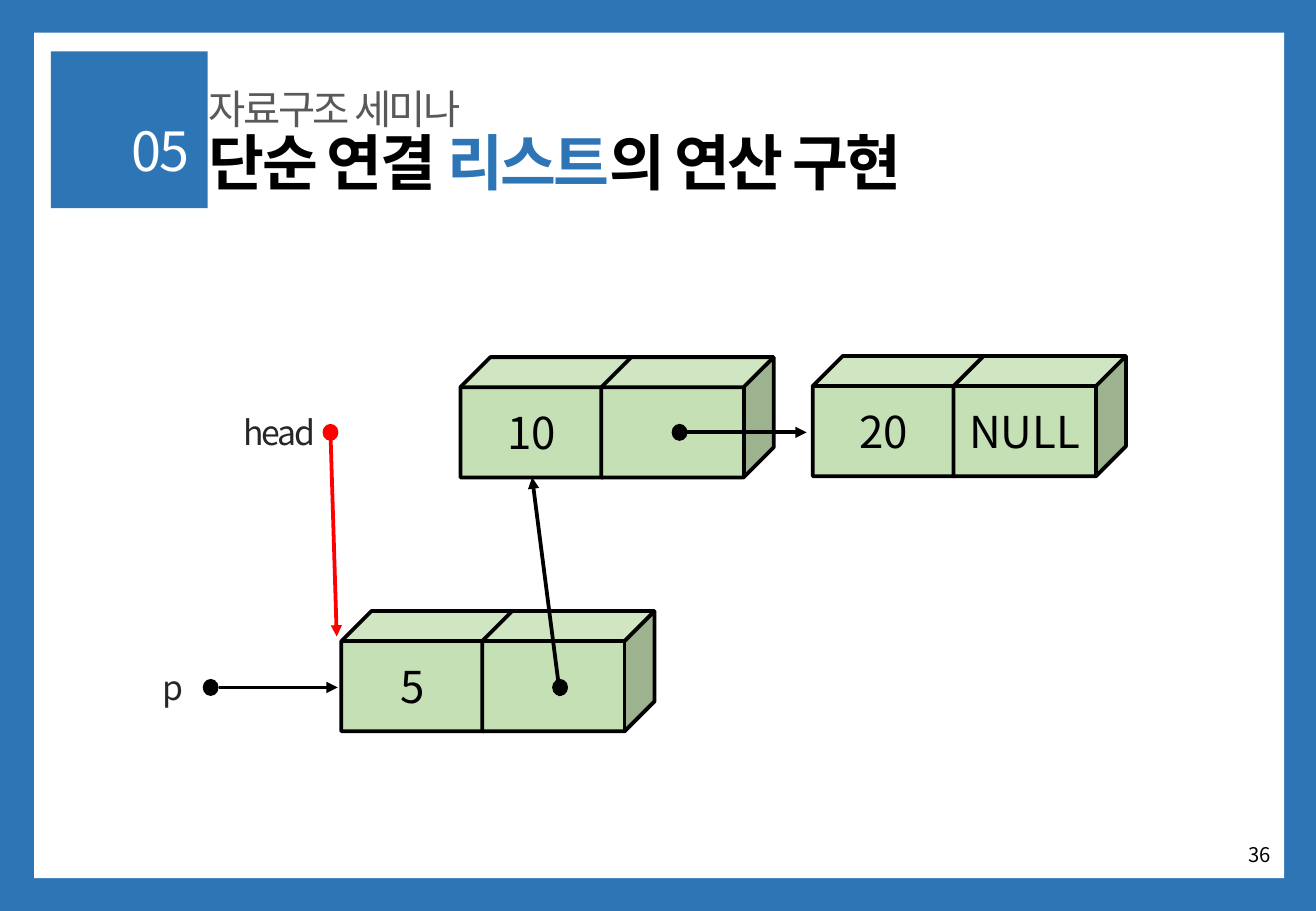
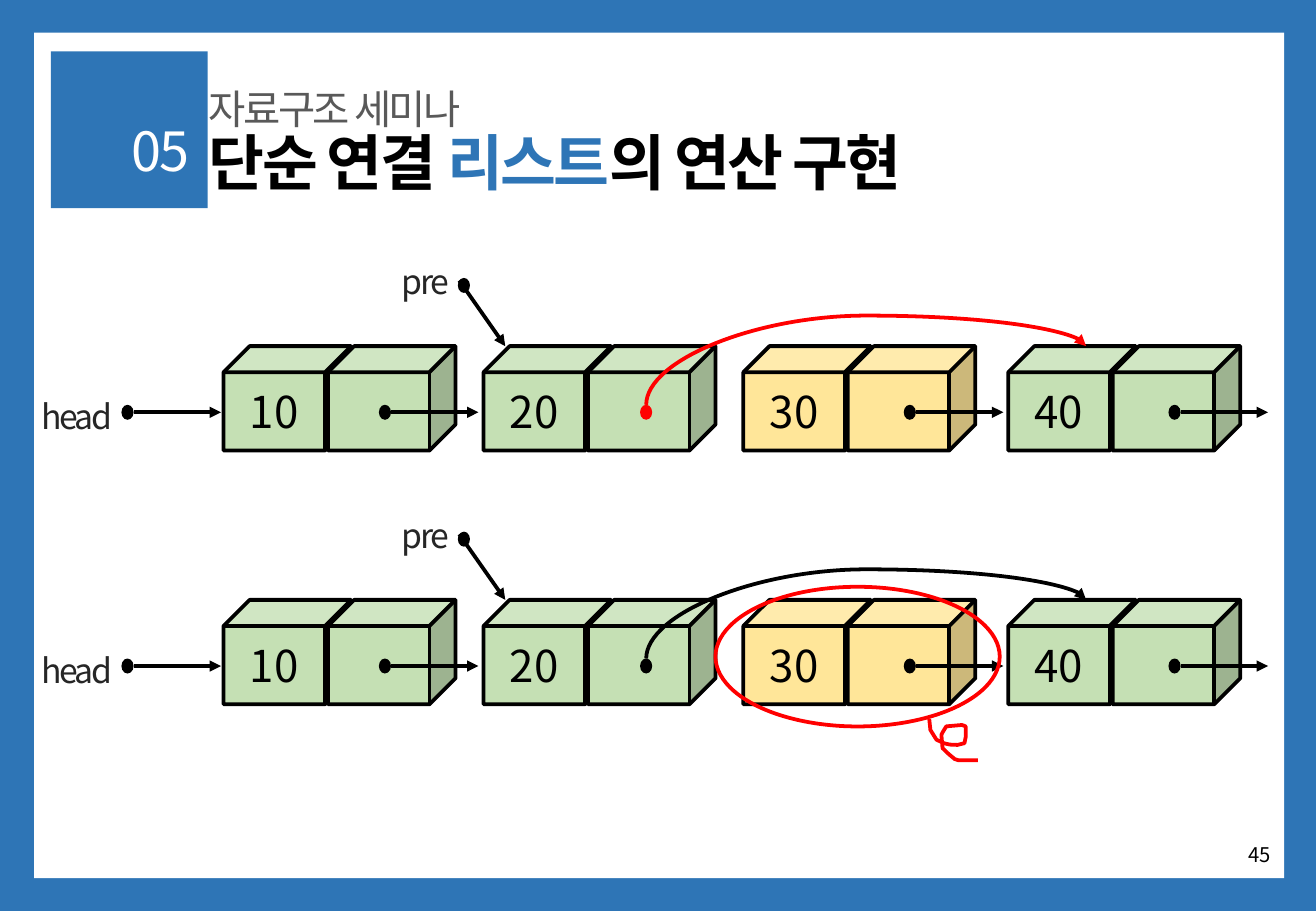
from lxml.etree import SubElement
from pptx import Presentation
from pptx.dml.color import RGBColor
from pptx.enum.shapes import MSO_CONNECTOR as CONN, MSO_SHAPE as SHAPE
from pptx.enum.text import MSO_ANCHOR as ANCHOR, MSO_AUTO_SIZE as AUTO, PP_ALIGN as ALIGN
from pptx.oxml.ns import qn
from pptx.util import Pt

FONT = "Noto Sans CJK KR"
BLUE, WHITE, BLACK, RED = "2E75B6", "FFFFFF", "000000", "FF0000"
GREEN, YELLOW, GREY, DARK = "C5E0B4", "FFE699", "595959", "262626"
LINE_W = 2.25


def rgb(color):
    return RGBColor.from_string(color)


# Text
def add_run(p, text, size, color, bold=False, spacing=0):
    r = p.add_run()
    r.text = text
    r.font.size, r.font.bold = Pt(size), bold
    r.font.color.rgb = rgb(color)
    r.font.name = FONT
    rPr = r.font._element
    SubElement(rPr, qn("a:ea")).set("typeface", FONT)
    if spacing:
        rPr.set("spc", str(int(spacing * 100)))


def place(sp, x, y, w, h):
    sp.left, sp.top, sp.width, sp.height = Pt(x), Pt(y), Pt(w), Pt(h)


def fill_placeholder(sp, box, runs, size, align=ALIGN.LEFT, bold=False):
    place(sp, *box)
    tf = sp.text_frame
    tf.word_wrap, tf.auto_size = True, AUTO.NONE
    tf.vertical_anchor = ANCHOR.MIDDLE
    p = tf.paragraphs[0]
    pPr = p._p.get_or_add_pPr()
    pPr.set("marL", "0")
    pPr.set("indent", "0")
    SubElement(pPr, qn("a:buNone"))
    p.alignment, p.line_spacing, p.space_before = align, 0.9, Pt(0)
    for text, color in runs:
        add_run(p, text, size, color, bold, -1.5)


def add_text(s, box, text, size, color, align=ALIGN.LEFT, anchor=ANCHOR.TOP, spacing=0):
    tf = s.shapes.add_textbox(*map(Pt, box)).text_frame
    tf.word_wrap, tf.vertical_anchor = True, anchor
    p = tf.paragraphs[0]
    p.alignment = align
    add_run(p, text, size, color, spacing=spacing)


def label(s, x, y, w, text):
    add_text(s, (x, y, w, 31.7), text, 20, DARK, spacing=-1.5)


# Shapes and lines
def style(sp, fill=None, line=None):
    sp.shadow.inherit = False
    if fill:
        sp.fill.solid()
        sp.fill.fore_color.rgb = rgb(fill)
    else:
        sp.fill.background()
    if line:
        sp.line.color.rgb = rgb(line)
        sp.line.width = Pt(LINE_W)
    else:
        sp.line.fill.background()
    return sp


def add_shape(s, kind, x, y, w, h, fill=None, line=None):
    return style(s.shapes.add_shape(kind, Pt(x), Pt(y), Pt(w), Pt(h)), fill, line)


def dot(s, cx, cy, size, color=BLACK):
    w, h = size
    add_shape(s, SHAPE.FLOWCHART_CONNECTOR, cx - w / 2, cy - h / 2, w, h, color)


def arrow(s, start, end, color=BLACK, kind=CONN.STRAIGHT):
    c = s.shapes.add_connector(kind, *map(Pt, start + end))
    c.line.color.rgb = rgb(color)
    c.line.width = Pt(LINE_W)
    SubElement(c.line._ln, qn("a:tailEnd")).set("type", "triangle")
    SubElement(c._element.spPr, qn("a:effectLst"))
    return c


def arc_arrow(s, start, end, color, bend):
    """Curve leaving upwards: a connector turned a quarter about its centre."""
    (x1, y1), (x2, y2) = start, end
    cx, cy = (x1 + x2) / 2, (y1 + y2) / 2
    half_w, half_h = (y1 - y2) / 2, (x2 - x1) / 2
    c = arrow(s, (cx + half_w, cy + half_h), (cx - half_w, cy - half_h), color, CONN.CURVE)
    spPr = c._element.spPr
    spPr.find(qn("a:xfrm")).set("rot", "5400000")
    geom = spPr.find(qn("a:prstGeom"))
    av = geom.find(qn("a:avLst"))
    if av is None:
        av = SubElement(geom, qn("a:avLst"))
    gd = SubElement(av, qn("a:gd"))
    gd.set("name", "adj1")
    gd.set("fmla", f"val {int(bend * 100000)}")


def hop(s, cx, cy, size, length):
    """Dot with a level arrow starting at its right edge."""
    dot(s, cx, cy, size)
    x = cx + size[0] / 2
    arrow(s, (x, cy), (x + length, cy))


def node(s, x, y, size, texts, fill=GREEN):
    """List node: two cubes, the second overlapping the side of the first."""
    w, h, step = size
    for i, text in enumerate(texts):
        sp = add_shape(s, SHAPE.CUBE, x + i * step, y, w, h, fill, BLACK)
        if text:
            tf = sp.text_frame
            tf.vertical_anchor = ANCHOR.MIDDLE
            tf.paragraphs[0].alignment = ALIGN.CENTER
            add_run(tf.paragraphs[0], text, 26, BLACK)


def squiggle(s, points, color):
    pts = [(Pt(x), Pt(y)) for x, y in points]
    builder = s.shapes.build_freeform(*pts[0])
    builder.add_line_segments(pts[1:], close=False)
    style(builder.convert_to_shape(), line=color)


# Shared parts
def draw_frame(s, layout):
    """Frame and badge, drawn once and moved to the layout."""
    boxes = [(0, 0, 780, 540, BLUE), (20.2, 19.4, 741, 501.1, WHITE),
             (30.2, 30.5, 92.9, 92.9, BLUE)]
    for i, (x, y, w, h, fill) in enumerate(boxes):
        sp = add_shape(s, SHAPE.RECTANGLE, x, y, w, h, fill)
        layout.shapes.element.insert(2 + i, sp._element)


def new_slide(prs, layout, page):
    s = prs.slides.add_slide(layout)
    title, subtitle, number = s.placeholders
    fill_placeholder(title, (116.6, 77, 484.6, 43.2),
                     [("단순 연결 ", BLACK), ("리스트", BLUE), ("의 연산 구현", BLACK)], 36, bold=True)
    fill_placeholder(subtitle, (116.6, 54.7, 354.2, 22.3), [("자료구조 세미나", GREY)], 24)
    fill_placeholder(number, (42.5, 72.7, 77, 36.7), [("05", WHITE)], 32, ALIGN.RIGHT)
    add_text(s, (584.6, 491.8, 175.7, 28.8), page, 12, BLACK, ALIGN.RIGHT, ANCHOR.MIDDLE)
    return s


# Slide 1: insertion at the front
def insert_diagram(s):
    cube, size, length = (102.2, 71.3, 83.5), (9.4, 10.1), 70.6
    top, low = 256.3, 407.5
    node(s, 481.7, 211, cube, ["20", "NULL"])
    node(s, 272.9, 211.7, cube, ["10", ""])
    hop(s, 402.8, top, size, length)
    label(s, 137.5, 240.5, 63.4, "head")
    dot(s, 195.9, top, size, RED)
    arrow(s, (195.9, top), (199.6, 377.3), RED)
    node(s, 202.3, 362.2, cube, ["5", ""])
    dot(s, 332, low, size)
    arrow(s, (332, low + 5), (315.4, 283))
    label(s, 89.3, 391.7, 27.4, "p")
    hop(s, 124.9, low, size, length)


# Slide 2: deletion, one row per step
def delete_row(s, y, bypass):
    cube, size, length = (75.6, 61.9, 61.9), (7.2, 8.9), 51.8
    mid = y + 39.2
    label(s, 17.3, y + 25.9, 61.9, "head")
    hop(s, 75.6, mid, size, length)
    nodes = [("10", 132.5, 228.2, GREEN), ("20", 286.6, None, GREEN),
             ("30", 440.6, 539.3, YELLOW), ("40", 597.6, 696.2, GREEN)]
    for text, x, _, fill in nodes:
        node(s, x, y, cube, [text, ""], fill)
    for _, _, cx, _ in nodes:
        if cx:
            hop(s, cx, mid, size, length)
    label(s, 231.1, y - 54, 54.7, "pre")
    dot(s, 275, y - 36, size)
    arrow(s, (272.2, y - 38.9), (299.5, y))
    dot(s, 383, mid, size, bypass)
    arc_arrow(s, (383, mid - 4.4), (643.7, y), bypass, 1.52)


def delete_diagram(s):
    first, pitch = 205.2, 150.4
    for i, bypass in enumerate([RED, BLACK]):
        delete_row(s, first + i * pitch, bypass)
    add_shape(s, SHAPE.OVAL, 424.1, 347.8, 168.5, 82.8, line=RED)
    squiggle(s, [(550.8, 426.2), (551.5, 432.7), (553.7, 436.3), (555.1, 438.5), (559.4, 440.6),
                 (563, 441.4), (567.5, 441.6), (571.7, 440.6), (572.4, 437), (572.4, 430.6),
                 (570.2, 429.8), (560.9, 430.6), (558.7, 434.2), (558, 435.6), (558.7, 443.5),
                 (561.6, 446.4), (565.9, 450), (568.1, 450.7), (579.6, 450.7)], RED)


def main():
    prs = Presentation()
    prs.slide_width, prs.slide_height = Pt(780), Pt(540)
    layout = prs.slide_layouts[3]
    s = new_slide(prs, layout, "36")
    draw_frame(s, layout)
    insert_diagram(s)
    delete_diagram(new_slide(prs, layout, "45"))
    prs.save("out.pptx")


if __name__ == "__main__":
    main()
